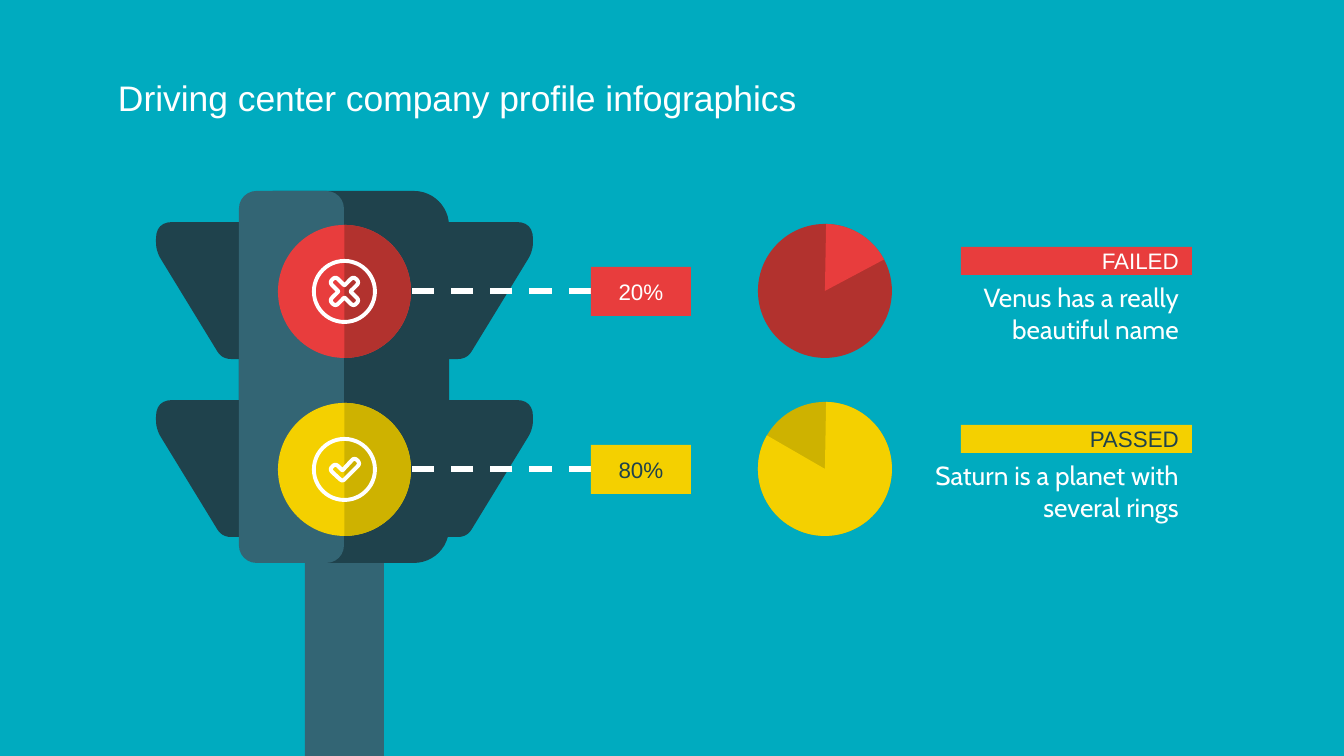
import dataclasses
import lxml.etree
import pptx
import pptx.dml.color
import pptx.enum.dml
import pptx.enum.shapes
import pptx.enum.text
import pptx.oxml.ns
import pptx.util

PX = 914400 / 134.4
KIND = pptx.enum.shapes.MSO_SHAPE
ALIGN = pptx.enum.text.PP_ALIGN
ANCHOR = pptx.enum.text.MSO_ANCHOR
PITCH = 178  # from one lamp to the next
LAMP = 133


@dataclasses.dataclass(frozen=True)
class Theme:
    back: str = "00ABBF"
    white: str = "FFFFFF"
    dark: str = "1F424C"
    slate: str = "336574"
    red: str = "E83D3D"
    maroon: str = "B2322E"
    gold: str = "F4D000"
    ochre: str = "CEB200"
    head: str = "Arial"
    body: str = "Cabin"
    big: int = 19
    mid: int = 14
    small: int = 12
    inset: int = 13


T = Theme()

# Icon corners: x and y from the lamp centre, then the length cut for rounding
CROSS = [(0, -6, 1), (9, -15, 4), (15, -9, 4), (6, 0, 1), (15, 9, 4), (9, 15, 4),
         (0, 6, 1), (-9, 15, 4), (-15, 9, 4), (-6, 0, 1), (-15, -9, 4), (-9, -15, 4)]
CHECK = [(-15, 0, 4), (-9, -6, 4), (-2, 1, 1), (10, -12, 4), (16, -6, 4), (-2, 12, 3)]

# Hood corners from its outer top corner
HOOD = [(0, 0, 17), (108, 0, 0), (108, 137, 0), (66, 137, 9), (0, 29, 9)]

LAMPS = [(T.red, T.maroon, CROSS), (T.gold, T.ochre, CHECK)]
ROWS = [
    dict(share="20%", tag="FAILED", note="Venus has a really beautiful name",
         fill=T.red, rest=T.maroon, ink=T.white, end=332),
    dict(share="80%", tag="PASSED", note="Saturn is a planet with several rings",
         fill=T.gold, rest=T.ochre, ink=T.dark, end=210),
]


def emu(*sizes):
    return [round(size * PX) for size in sizes]


def rgb(color):
    return pptx.dml.color.RGBColor.from_string(color)


def paint(shape, fill=None, line=None, width=4):
    shape.shadow.inherit = False
    if fill:
        shape.fill.solid()
        shape.fill.fore_color.rgb = rgb(fill)
    else:
        shape.fill.background()
    if line:
        shape.line.color.rgb = rgb(line)
        shape.line.width = emu(width)[0]
    else:
        shape.line.fill.background()
    return shape


def block(slide, kind, box, fill):
    return paint(slide.shapes.add_shape(kind, *emu(*box)), fill)


def wedge(slide, box, start, end, fill):
    """Add a pie slice running clockwise between two angles in degrees."""
    shape = block(slide, KIND.PIE, box, fill)
    for i, angle in enumerate((start, end)):
        shape.adjustments[i] = angle * 0.6  # 60000 units a degree, over 100000


def curve(slide, x, y, corners, flip=1, **style):
    """Add a closed outline, each corner rounded by its own cut length."""
    points = []
    for i, (cx, cy, cut) in enumerate(corners):
        ends = []
        for nx, ny, _ in (corners[i - 1], corners[(i + 1) % len(corners)]):
            part = cut / ((nx - cx) ** 2 + (ny - cy) ** 2) ** 0.5
            ends.append((cx + (nx - cx) * part, cy + (ny - cy) * part))
        (ax, ay), (bx, by) = ends
        for step in range(7 if cut else 1):
            t = step / 6
            a, c, b = (1 - t) ** 2, 2 * t * (1 - t), t ** 2
            px, py = a * ax + c * cx + b * bx, a * ay + c * cy + b * by
            points.append(emu(x + flip * px, y + py))
    path = slide.shapes.build_freeform(*points[0], scale=1.0)
    path.add_line_segments(points[1:], close=True)
    return paint(path.convert_to_shape(), **style)


def write(shape, text, size=T.small, font=T.head, color=T.white,
          align=ALIGN.LEFT, anchor=ANCHOR.MIDDLE, top=T.inset):
    frame = shape.text_frame
    frame.word_wrap = True
    frame.auto_size = pptx.enum.text.MSO_AUTO_SIZE.NONE
    frame.vertical_anchor = anchor
    frame.margin_left, frame.margin_right, frame.margin_bottom = emu(*[T.inset] * 3)
    frame.margin_top = emu(top)[0]
    para = frame.paragraphs[0]
    para.alignment = align
    run = para.add_run()
    run.text = text
    run.font.size = pptx.util.Pt(size)
    run.font.name = font
    run.font.color.rgb = rgb(color)


def title(slide, box, text):
    shape = slide.shapes.title
    shape.left, shape.top, shape.width, shape.height = emu(*box)
    write(shape, text, size=T.big, anchor=ANCHOR.TOP, top=17)


def lamp(slide, box, fill, shade, icon):
    x, y, w, h = box
    block(slide, KIND.OVAL, box, fill)
    wedge(slide, box, 270, 90, shade)
    ring = block(slide, KIND.DONUT, (x + 34, y + 34, 65, 65), T.white)
    ring.adjustments[0] = 0.06
    curve(slide, x + w / 2, y + h / 2, icon, line=T.white)


def signal(slide, box):
    x, y, w, h = box
    block(slide, KIND.RECTANGLE, (x + 149, y + 364, 79, h - 364), T.slate)
    for i in range(len(LAMPS)):
        for edge, flip in ((x, 1), (x + w, -1)):
            curve(slide, edge, y + 31 + i * PITCH, HOOD, flip, fill=T.dark)
    for width, fill in ((210, T.dark), (105, T.slate)):
        block(slide, KIND.ROUNDED_RECTANGLE, (x + 83, y, width, 372), fill)
    for i, parts in enumerate(LAMPS):
        spot = (x + (w - LAMP) / 2, y + 34 + i * PITCH, LAMP, LAMP)
        lamp(slide, spot, *parts)


def dashes(slide, x, y, end):
    kind = pptx.enum.shapes.MSO_CONNECTOR.STRAIGHT
    link = slide.shapes.add_connector(kind, *emu(end, y, x, y))
    link.line.color.rgb = rgb(T.white)
    link.line.width = pptx.util.Pt(3)
    link.line.dash_style = pptx.enum.dml.MSO_LINE.DASH
    lxml.etree.SubElement(link._element.spPr, pptx.oxml.ns.qn("a:effectLst"))


def result(slide, box, share, tag, note, fill, rest, ink, end):
    """Add one row: link, share, pie and caption."""
    x, y, w, h = box
    right = x + w
    dashes(slide, x, y + h / 2, x + 179)
    badge = block(slide, KIND.RECTANGLE, (x + 179, y + 43, 100, 49), fill)
    write(badge, share, color=ink, align=ALIGN.CENTER)
    disc = (x + 346, y, h, h)
    block(slide, KIND.OVAL, disc, rest)
    wedge(slide, disc, 271, end, fill)
    label = block(slide, KIND.RECTANGLE, (right - 231, y + 23, 231, 28), fill)
    write(label, tag, color=ink, align=ALIGN.RIGHT)
    text = slide.shapes.add_textbox(*emu(right - 273, y + 65, 273, 48))
    write(text, note, size=T.mid, font=T.body, align=ALIGN.RIGHT)


def main():
    deck = pptx.Presentation()
    deck.slide_width, deck.slide_height = emu(1344, 756)
    slide = deck.slides.add_slide(deck.slide_layouts[5])
    slide.background.fill.solid()
    slide.background.fill.fore_color.rgb = rgb(T.back)
    title(slide, (105, 59, 1134, 85), "Driving center company profile infographics")
    signal(slide, (156, 191, 377, 565))
    for i, row in enumerate(ROWS):
        result(slide, (412, 224 + i * PITCH, 780, 134), **row)
    deck.save("out.pptx")


if __name__ == "__main__":
    main()
